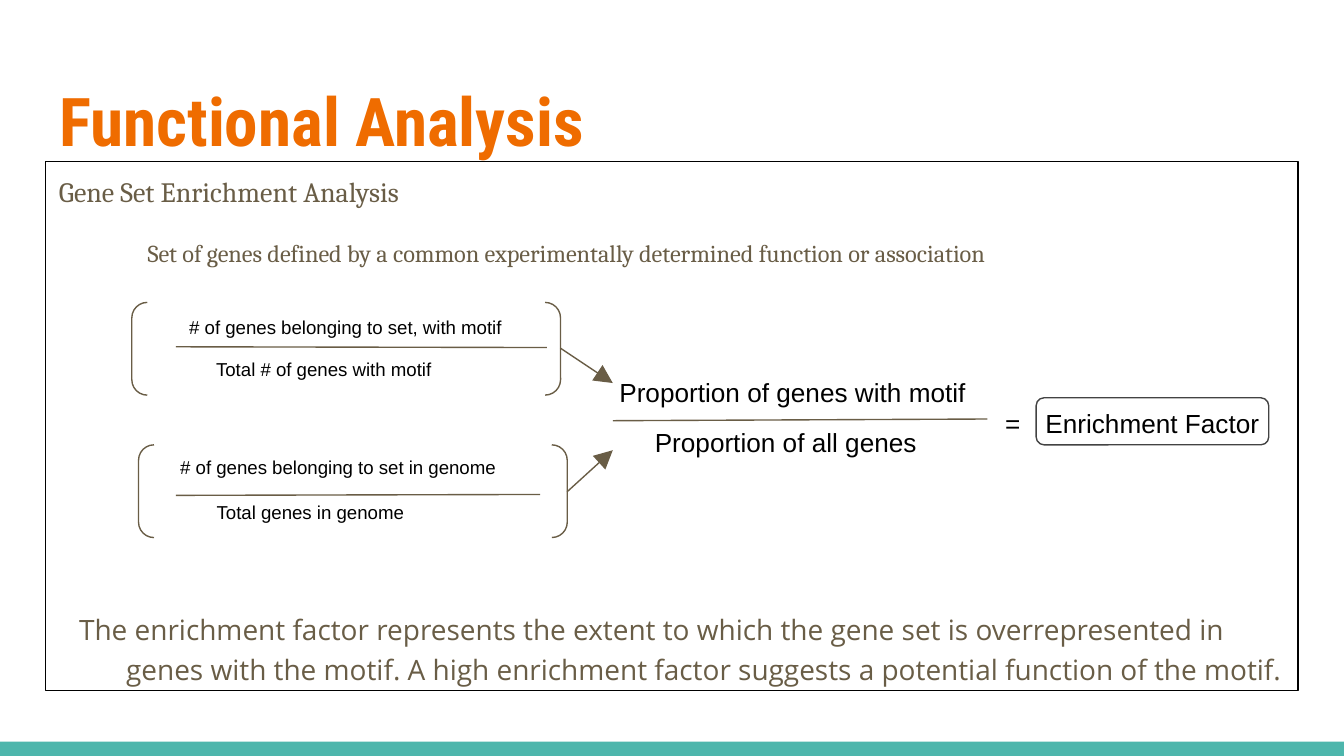
from pptx import Presentation
from pptx.dml.color import RGBColor
from pptx.enum.shapes import MSO_CONNECTOR, MSO_SHAPE
from pptx.enum.text import MSO_ANCHOR, PP_ALIGN
from pptx.oxml.ns import qn
from pptx.util import Pt
from lxml.etree import SubElement

ORANGE, TEAL, BROWN, GREY, BLACK = "EF6C00", "4DB6AC", "695D46", "434343", "000000"
INSET = 7.2

TITLE = "Functional Analysis"
HEADING = "Gene Set Enrichment Analysis"
DEFINITION = "Set of genes defined by a common experimentally determined function or association"
SUMMARY = ("The enrichment factor represents the extent to which the gene set is "
           "overrepresented in genes with the motif. A high enrichment factor suggests "
           "a potential function of the motif.")
RESULT = "Enrichment Factor"

# text, left, top, width, size
TERMS = [
    ("# of genes belonging to set, with motif", 94.3, 163.4, 200, 10),
    ("Total # of genes with motif", 108.7, 185.8, 180, 10),
    ("# of genes belonging to set in genome", 89.5, 238.3, 200, 10),
    ("Total genes in genome", 109, 262.3, 180, 10),
    ("Proportion of genes with motif", 324.7, 194.4, 215, 14),
    ("Proportion of all genes", 343.7, 221, 180, 14),
    ("=", 531.4, 211, 30, 14),
]
# x1, y1, x2, y2
FRACTION_BARS = [
    (94.3, 185.8, 293, 186.2),
    (94.3, 265.4, 289.4, 264.9),
    (328.3, 225.4, 529, 224.5),
]
ARROWS = [(300.2, 186.5, 328.3, 205.2), (303.8, 263.5, 328.3, 241.2)]
BRACKETS = [(70.6, 162), (74.2, 238.3)]


def rgb(hex_color):
    return RGBColor.from_string(hex_color)


def set_font(p, name, size, color, bold=False):
    p.font.name, p.font.size, p.font.bold = name, Pt(size), bold
    p.font.color.rgb = rgb(color)


def set_frame(tf, inset=INSET, anchor=MSO_ANCHOR.TOP):
    tf.word_wrap = True
    tf.vertical_anchor = anchor
    tf.margin_left = tf.margin_top = tf.margin_right = tf.margin_bottom = Pt(inset)


def add_shape(kind, x, y, w, h, fill=None, line=None):
    sp = s.shapes.add_shape(kind, Pt(x), Pt(y), Pt(w), Pt(h))
    sp.shadow.inherit = False
    if fill:
        sp.fill.solid()
        sp.fill.fore_color.rgb = rgb(fill)
    else:
        sp.fill.background()
    if line:
        sp.line.color.rgb = rgb(line)
        sp.line.width = Pt(0.75)
    else:
        sp.line.fill.background()
    return sp


def add_text(text, x, y, w, h, name, size, color):
    tf = s.shapes.add_textbox(Pt(x), Pt(y), Pt(w), Pt(h)).text_frame
    set_frame(tf)
    p = tf.paragraphs[0]
    p.text = text
    set_font(p, name, size, color)
    return p


def add_line(x1, y1, x2, y2, arrow=False):
    c = s.shapes.add_connector(MSO_CONNECTOR.STRAIGHT, Pt(x1), Pt(y1), Pt(x2), Pt(y2))
    c.line.color.rgb = rgb(BROWN)
    c.line.width = Pt(0.75)
    if arrow:
        SubElement(c.line._get_or_add_ln(), qn("a:tailEnd"), type="triangle", w="lg", len="lg")
    SubElement(c._element.spPr, qn("a:effectLst"))


def set_indent(p, left, first):
    pPr = p._p.get_or_add_pPr()
    pPr.set("marL", str(Pt(left)))
    pPr.set("indent", str(Pt(first)))


prs = Presentation()
prs.slide_width, prs.slide_height = Pt(720), Pt(405)
s = prs.slides.add_slide(prs.slide_layouts[5])

add_shape(MSO_SHAPE.RECTANGLE, 0, 397.4, 720, 7.6, fill=TEAL)

title = s.shapes.title
title.left, title.top, title.width, title.height = Pt(24.5), Pt(35.3), Pt(671), Pt(55.4)
title.text = TITLE
set_frame(title.text_frame)
p = title.text_frame.paragraphs[0]
p.alignment = PP_ALIGN.LEFT
set_font(p, "Roboto Condensed", 36, ORANGE, bold=True)

panel = add_shape(MSO_SHAPE.RECTANGLE, 24.5, 86.4, 671, 283.7, line=BLACK)
tf = panel.text_frame
set_frame(tf)
tf.text = f"{HEADING}\n{DEFINITION}"
for p, size in zip(tf.paragraphs, (15, 13)):
    p.alignment = PP_ALIGN.LEFT
    p.space_after = Pt(16)
    set_font(p, "Cambria", size, BROWN)
set_indent(tf.paragraphs[1], 72, -24.5)

p = add_text(SUMMARY, 24.5, 318.2, 671, 51.9, "Open Sans", 15, BROWN)
p.line_spacing = Pt(21)
set_indent(p, 36, -25.2)

for text, x, y, w, size in TERMS:
    add_text(text, x, y, w, size * 1.15 + 2 * INSET, "Arial", size, BLACK)
for bar in FRACTION_BARS:
    add_line(*bar)
for x, y in BRACKETS:
    add_shape(MSO_SHAPE.DOUBLE_BRACKET, x, y, 229.7, 49.7, line=BROWN)
for arrow in ARROWS:
    add_line(*arrow, arrow=True)

result = add_shape(MSO_SHAPE.ROUNDED_RECTANGLE, 555.1, 213.1, 124.6, 25.2, line=GREY)
tf = result.text_frame
set_frame(tf, inset=0, anchor=MSO_ANCHOR.MIDDLE)
tf.margin_top = Pt(2)
p = tf.paragraphs[0]
p.text = RESULT
p.alignment = PP_ALIGN.CENTER
set_font(p, "Arial", 14, BLACK)

prs.save("out.pptx")
